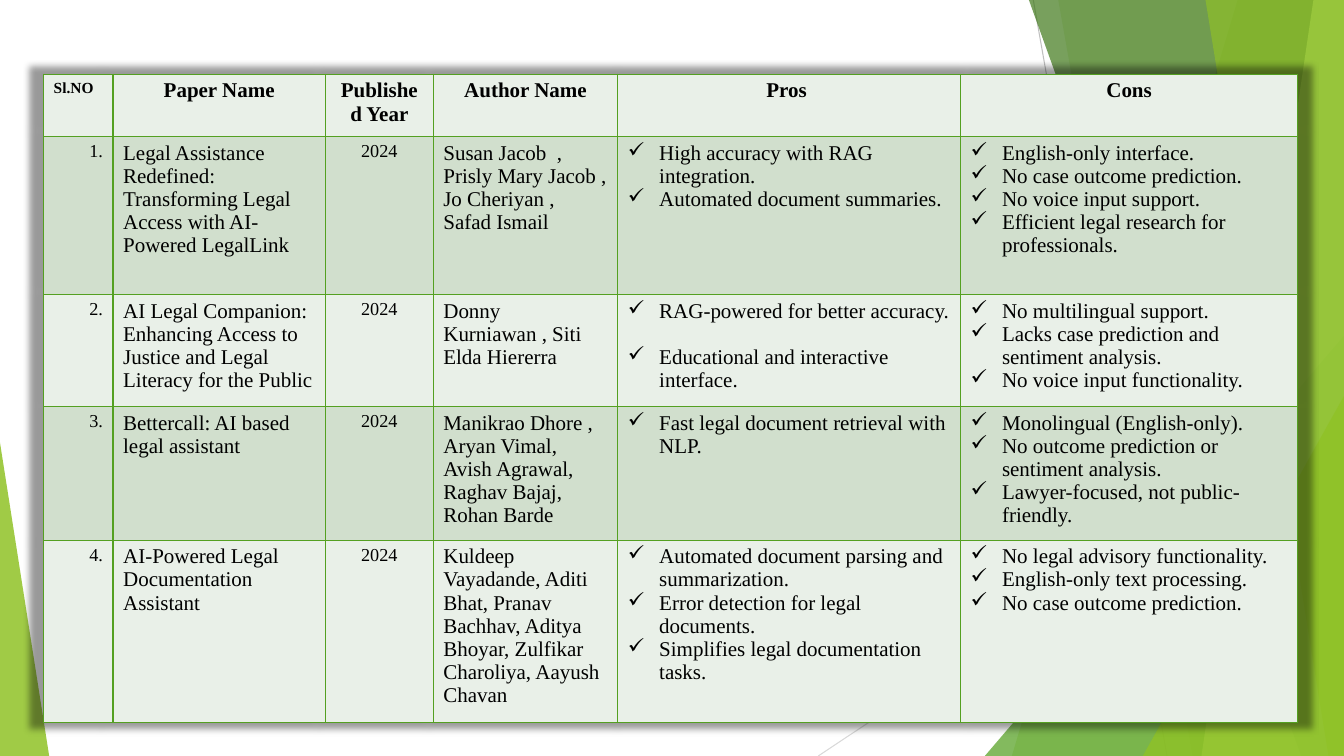
from dataclasses import dataclass

import pptx
import pptx.dml.color
import pptx.enum.shapes
import pptx.enum.text
import pptx.oxml
import pptx.oxml.ns
import pptx.util
from pptx.util import Cm

WIDTH, HEIGHT = 33.87, 19.05
GREEN, LIME = "54A021", "90C226"
PALE_ROW, DEEP_ROW = "E9F0E8", "D1DFCD"
FONT = "Times New Roman"
NAMESPACE = pptx.oxml.ns.nsdecls("a")
LEFT, CENTER, RIGHT = (getattr(pptx.enum.text.PP_ALIGN, name) for name in ("LEFT", "CENTER", "RIGHT"))

COLUMN_WIDTHS = (1.75, 5.35, 2.72, 4.65, 8.64, 8.49)
ROW_HEIGHTS = (1.57, 3.98, 2.82, 3.37, 4.59)


@dataclass
class Line:
    start: tuple[float, float]
    end: tuple[float, float]
    color: str


@dataclass
class Band:
    """A slanted band reaching from its left edge to the right side of the slide."""
    top_x: float
    bottom_x: float
    color: str
    opacity: int


@dataclass
class Triangle:
    """A triangle standing on the bottom of the slide."""
    left: float
    top: float
    width: float
    apex: float
    color: str
    opacity: int


@dataclass
class Look:
    size: int = 15
    bold: bool = False
    align: int = LEFT
    bulleted: bool = False
    gap: float = 0


@dataclass
class Paper:
    title: str
    authors: str
    pros: list[str]
    cons: list[str]
    pros_gap: float = 0
    year: str = "2024"


DECORATION = [
    Line((26.04, 0), (29.41, HEIGHT), "BFBFBF"),
    Line((WIDTH, 10.24), (20.62, HEIGHT), "D9D9D9"),
    Band(31.19, 25.5, LIME, 30),
    Band(26.67, 30.05, LIME, 20),
    Triangle(24.82, 8.46, 9.05, 1, GREEN, 72),
    Band(25.93, 32.79, "3F7819", 70),
    Band(33.1, 30.28, "C0E474", 70),
    Band(30.38, 33.48, LIME, 65),
    Triangle(28.8, 9.98, 5.07, 1, LIME, 80),
    Triangle(0, 11.15, 1.24, 0, LIME, 85),
]

HEADINGS = ("Sl.NO", "Paper Name", "Published Year", "Author Name", "Pros ", "Cons")
PAPERS = [
    Paper("Legal Assistance Redefined: Transforming Legal Access with AI-Powered LegalLink",
          "Susan Jacob  , Prisly Mary Jacob , Jo Cheriyan , Safad Ismail",
          ["High accuracy with RAG integration.", "Automated document summaries."],
          ["English-only interface.", "No case outcome prediction.", "No voice input support.",
           "Efficient legal research for professionals."]),
    Paper("AI Legal Companion: Enhancing Access to Justice and Legal Literacy for the Public",
          "Donny Kurniawan , Siti Elda Hiererra",
          ["RAG-powered for better accuracy.", "Educational and interactive interface."],
          ["No multilingual support.", "Lacks case prediction and sentiment analysis.",
           "No voice input functionality."], pros_gap=16.5),
    Paper("Bettercall: AI based legal assistant",
          "Manikrao Dhore , Aryan Vimal, Avish Agrawal, Raghav Bajaj, Rohan Barde",
          ["Fast legal document retrieval with NLP."],
          ["Monolingual (English-only).", "No outcome prediction or sentiment analysis.",
           "Lawyer-focused, not public-friendly."]),
    Paper("AI-Powered Legal Documentation Assistant",
          "Kuldeep Vayadande, Aditi Bhat, Pranav Bachhav, Aditya Bhoyar, Zulfikar Charoliya, Aayush Chavan",
          ["Automated document parsing and summarization.", "Error detection for legal documents.",
           "Simplifies legal documentation tasks."],
          ["No legal advisory functionality.", "English-only text processing.",
           "No case outcome prediction."]),
]


def rgb(color: str) -> pptx.dml.color.RGBColor:
    return pptx.dml.color.RGBColor.from_string(color)


def fill_solid(target, color: str, opacity: int = 100) -> None:
    target.fill.solid()
    target.fill.fore_color.rgb = rgb(color)
    if opacity < 100:
        alpha = pptx.oxml.parse_xml(f'<a:alpha {NAMESPACE} val="{opacity * 1000}"/>')
        target._element.spPr.find(".//" + pptx.oxml.ns.qn("a:srgbClr")).append(alpha)


def draw_line(slide, line: Line) -> None:
    connector = slide.shapes.add_connector(
        pptx.enum.shapes.MSO_CONNECTOR.STRAIGHT, *(Cm(value) for value in line.start + line.end))
    connector.line.color.rgb = rgb(line.color)
    connector.line.width = pptx.util.Pt(0.75)
    connector._element.spPr.append(pptx.oxml.parse_xml(f"<a:effectLst {NAMESPACE}/>"))


def draw_area(slide, area: Band | Triangle) -> None:
    if isinstance(area, Band):
        builder = slide.shapes.build_freeform(Cm(area.top_x), 0)
        corners = ((WIDTH, 0), (WIDTH, HEIGHT), (area.bottom_x, HEIGHT))
        builder.add_line_segments([(Cm(x), Cm(y)) for x, y in corners], close=True)
        shape = builder.convert_to_shape()
    else:
        shape = slide.shapes.add_shape(
            pptx.enum.shapes.MSO_SHAPE.ISOSCELES_TRIANGLE, Cm(area.left), Cm(area.top),
            Cm(area.width), Cm(HEIGHT - area.top))
        shape.adjustments[0] = area.apex
    shape.shadow.inherit = False
    shape.line.fill.background()
    fill_solid(shape, area.color, area.opacity)


def add_borders(cell) -> None:
    properties = cell._tc.get_or_add_tcPr()
    for index, side in enumerate("LRTB"):
        properties.insert(index, pptx.oxml.parse_xml(
            f'<a:ln{side} {NAMESPACE} w="12700"><a:solidFill><a:srgbClr val="{GREEN}"/>'
            f"</a:solidFill></a:ln{side}>"))


def write_cell(cell, texts: list[str], look: Look, color: str) -> None:
    fill_solid(cell, color)
    add_borders(cell)
    font_format = {"name": FONT, "size": pptx.util.Pt(look.size), "bold": look.bold}
    for index, text in enumerate(texts):
        paragraph = cell.text_frame.add_paragraph() if index else cell.text_frame.paragraphs[0]
        paragraph.alignment = look.align
        if index and look.gap:
            paragraph.space_before = pptx.util.Pt(look.gap)
        if look.bulleted:
            properties = paragraph._p.get_or_add_pPr()
            properties.set("marL", str(Cm(0.79)))
            properties.set("indent", str(-Cm(0.79)))
            properties.append(pptx.oxml.parse_xml(f'<a:buChar {NAMESPACE} char="✓"/>'))
        run = paragraph.add_run()
        run.text = text
        for name, value in font_format.items():
            setattr(run.font, name, value)
        run.font.color.rgb = rgb("000000")


def draw_survey_table(slide) -> None:
    frame = slide.shapes.add_table(
        len(ROW_HEIGHTS), len(COLUMN_WIDTHS), Cm(1.1), Cm(1.87),
        Cm(sum(COLUMN_WIDTHS)), Cm(sum(ROW_HEIGHTS)))
    table = frame.table
    table.first_row = table.horz_banding = False
    table._tbl.tblPr.insert(0, pptx.oxml.parse_xml(
        f'<a:effectLst {NAMESPACE}><a:outerShdw blurRad="63500" sx="102000" sy="102000" '
        'algn="ctr" rotWithShape="0"><a:srgbClr val="000000"><a:alpha val="40000"/>'
        "</a:srgbClr></a:outerShdw></a:effectLst>"))
    for column, width in zip(table.columns, COLUMN_WIDTHS):
        column.width = Cm(width)
    for row, height in zip(table.rows, ROW_HEIGHTS):
        row.height = Cm(height)

    for index, heading in enumerate(HEADINGS):
        look = Look(bold=True, align=CENTER) if index else Look(size=11, bold=True)
        write_cell(table.cell(0, index), [heading], look, PALE_ROW)
    for number, paper in enumerate(PAPERS, start=1):
        entries = (
            ([f"{number}."], Look(size=13, align=RIGHT)),
            ([paper.title], Look()),
            ([paper.year], Look(size=13, align=CENTER)),
            ([paper.authors], Look()),
            (paper.pros, Look(bulleted=True, gap=paper.pros_gap)),
            (paper.cons, Look(bulleted=True)),
        )
        color = DEEP_ROW if number % 2 else PALE_ROW
        for index, (texts, look) in enumerate(entries):
            write_cell(table.cell(number, index), texts, look, color)


def main() -> None:
    presentation = pptx.Presentation()
    presentation.slide_width, presentation.slide_height = Cm(WIDTH), Cm(HEIGHT)
    slide = presentation.slides.add_slide(presentation.slide_layouts[6])
    for item in DECORATION:
        draw = draw_line if isinstance(item, Line) else draw_area
        draw(slide, item)
    draw_survey_table(slide)
    presentation.save("out.pptx")


if __name__ == "__main__":
    main()
